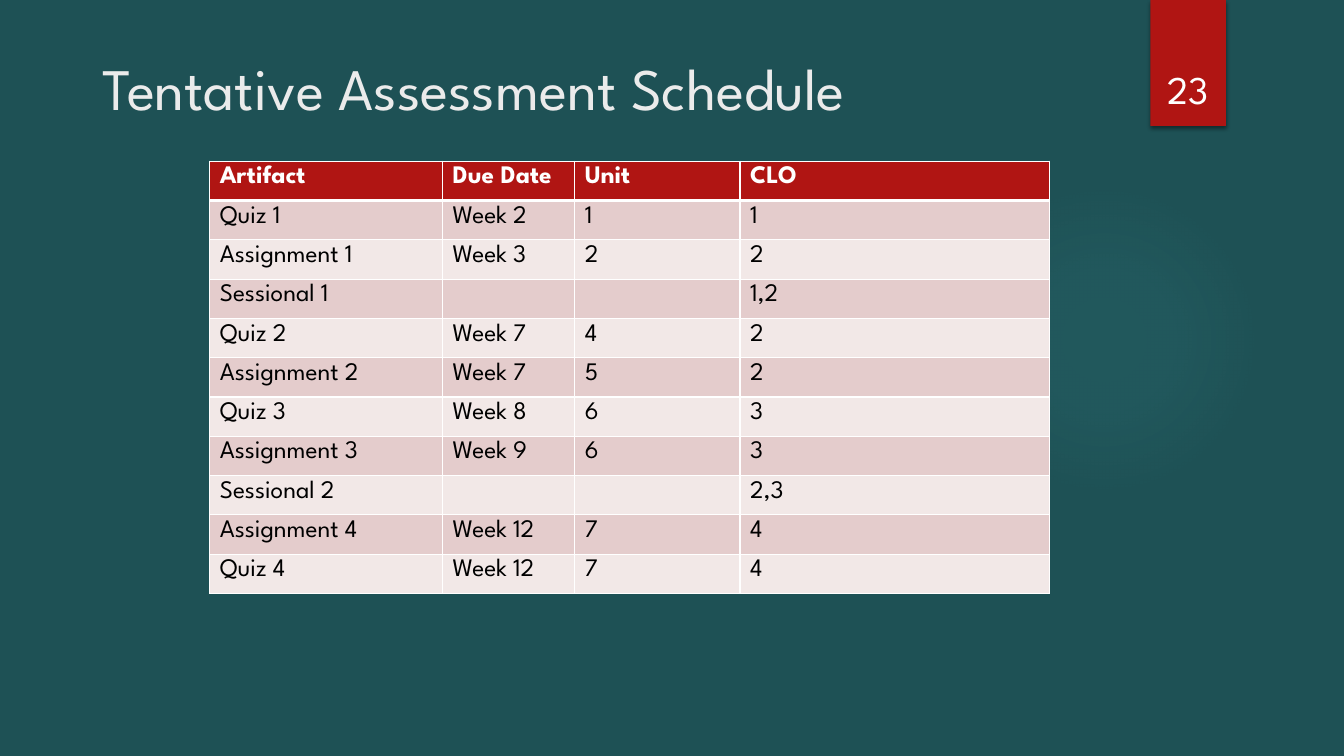
from lxml import etree
from pptx import Presentation
from pptx.dml.color import RGBColor
from pptx.enum.shapes import MSO_SHAPE as SHAPE
from pptx.enum.text import MSO_ANCHOR as ANCHOR, PP_ALIGN as ALIGN
from pptx.oxml import parse_xml
from pptx.oxml.ns import nsdecls, qn
from pptx.util import Inches, Pt

FONT = "League Spartan"
COLORS = {
    "background": "1E5155", "glow": "50B9C1", "red": "B01513",
    "title": "EBEBEB", "white": "FFFFFF", "black": "000000",
    "odd": "E4CCCC", "even": "F2E8E7",
}
HEADER = ["Artifact", "Due Date", "Unit", "CLO"]
SCHEDULE = [
    ["Quiz 1", "Week 2", "1", "1"],
    ["Assignment 1", "Week 3", "2", "2"],
    ["Sessional 1", "", "", "1,2"],
    ["Quiz 2", "Week 7", "4", "2"],
    ["Assignment 2", "Week 7", "5", "2"],
    ["Quiz 3", "Week 8", "6", "3"],
    ["Assignment 3", "Week 9", "6", "3"],
    ["Sessional 2", "", "", "2,3"],
    ["Assignment 4", "Week 12", "7", "4"],
    ["Quiz 4", "Week 12", "7", "4"],
]
COL_WIDTHS = [2.31, 1.31, 1.64, 3.07]
ROW_HEIGHT = 0.39


def rgb(name):
    return RGBColor.from_string(COLORS[name])


def write(tf, text, size, color, bold=False, align=ALIGN.LEFT):
    p = tf.paragraphs[0]
    p.alignment = align
    if not text:
        end = etree.SubElement(p._p, qn("a:endParaRPr"), sz=str(size * 100))
        etree.SubElement(end, qn("a:latin"), typeface=FONT)
        return
    r = p.add_run()
    r.text = text
    for name, value in {"name": FONT, "size": Pt(size), "bold": bold}.items():
        setattr(r.font, name, value)
    r.font.color.rgb = rgb(color)


def add_plain_shape(s, kind, *box):
    sp = s.shapes.add_shape(kind, *map(Inches, box))
    sp.shadow.inherit = False
    sp.line.fill.background()
    return sp


def add_glow(s):
    sp = add_plain_shape(s, SHAPE.OVAL, 9.41, 1.83, 3.08, 3.08)
    sp.fill.background()
    stops = "".join(
        f'<a:gs pos="{pos * 1000}"><a:srgbClr val="{COLORS["glow"]}">'
        f'<a:alpha val="{alpha * 1000}"/></a:srgbClr></a:gs>'
        for pos, alpha in [(0, 7), (36, 6), (69, 0), (100, 0)])
    gradient = parse_xml(
        f'<a:gradFill {nsdecls("a")}><a:gsLst>{stops}</a:gsLst><a:path path="circle">'
        '<a:fillToRect l="50000" t="50000" r="50000" b="50000"/></a:path></a:gradFill>')
    sp_pr = sp._element.spPr
    sp_pr.replace(sp_pr.find(qn("a:noFill")), gradient)


def add_ribbon(s):
    sp = add_plain_shape(s, SHAPE.RECTANGLE, 11.41, 0, 0.75, 1.25)
    sp.fill.solid()
    sp.fill.fore_color.rgb = rgb("red")
    sp._element.spPr.find(qn("a:effectLst")).append(parse_xml(
        f'<a:outerShdw {nsdecls("a")} blurRad="{Pt(3)}" dist="{Pt(2)}" dir="5400000" '
        f'rotWithShape="0"><a:srgbClr val="{COLORS["black"]}">'
        '<a:alpha val="45000"/></a:srgbClr></a:outerShdw>'))


def add_title(s, text):
    title = s.shapes.title
    box = {"left": 0.92, "top": 0.4, "width": 11.5, "height": 0.93}
    for name, value in box.items():
        setattr(title, name, Inches(value))
    title.text_frame.vertical_anchor = ANCHOR.MIDDLE
    write(title.text_frame, text, 42, "title")
    s.shapes._spTree.append(title._element)  # in front of the decoration


def set_borders(cell, **widths):
    """Draw white borders; widths maps the sides L, R, T, B to points."""
    tc_pr = cell._tc.get_or_add_tcPr()
    for i, side in enumerate("LRTB"):
        tc_pr.insert(i, parse_xml(
            f'<a:ln{side} {nsdecls("a")} w="{Pt(widths.get(side, 1))}"><a:solidFill>'
            f'<a:srgbClr val="{COLORS["white"]}"/></a:solidFill></a:ln{side}>'))


def add_schedule(s):
    rows = [HEADER] + SCHEDULE
    table = s.shapes.add_table(
        len(rows), len(HEADER), Inches(2.08), Inches(1.6),
        Inches(sum(COL_WIDTHS)), Inches(ROW_HEIGHT * len(rows))).table
    for column, width in zip(table.columns, COL_WIDTHS):
        column.width = Inches(width)
    for i, values in enumerate(rows):
        table.rows[i].height = Inches(ROW_HEIGHT)
        header = i == 0
        fill = "red" if header else "odd" if i % 2 else "even"
        borders = {0: {"B": 3}, 1: {"T": 3}}.get(i, {})
        for cell, text in zip(table.rows[i].cells, values):
            cell.fill.solid()
            cell.fill.fore_color.rgb = rgb(fill)
            set_borders(cell, **borders)
            write(cell.text_frame, text, 18, "white" if header else "black", header)


def add_page_number(s, number):
    tf = s.shapes.add_textbox(*map(Inches, (11.32, 0.32, 0.92, 0.84))).text_frame
    tf.word_wrap = True
    tf.vertical_anchor = ANCHOR.BOTTOM
    write(tf, number, 28, "white", align=ALIGN.CENTER)


def main():
    prs = Presentation()
    prs.slide_width, prs.slide_height = Inches(13.33), Inches(7.5)
    s = prs.slides.add_slide(prs.slide_layouts[5])
    s.background.fill.solid()
    s.background.fill.fore_color.rgb = rgb("background")
    add_glow(s)
    add_ribbon(s)
    add_title(s, "Tentative Assessment Schedule")
    add_schedule(s)
    add_page_number(s, "23")
    prs.save("out.pptx")


if __name__ == "__main__":
    main()
